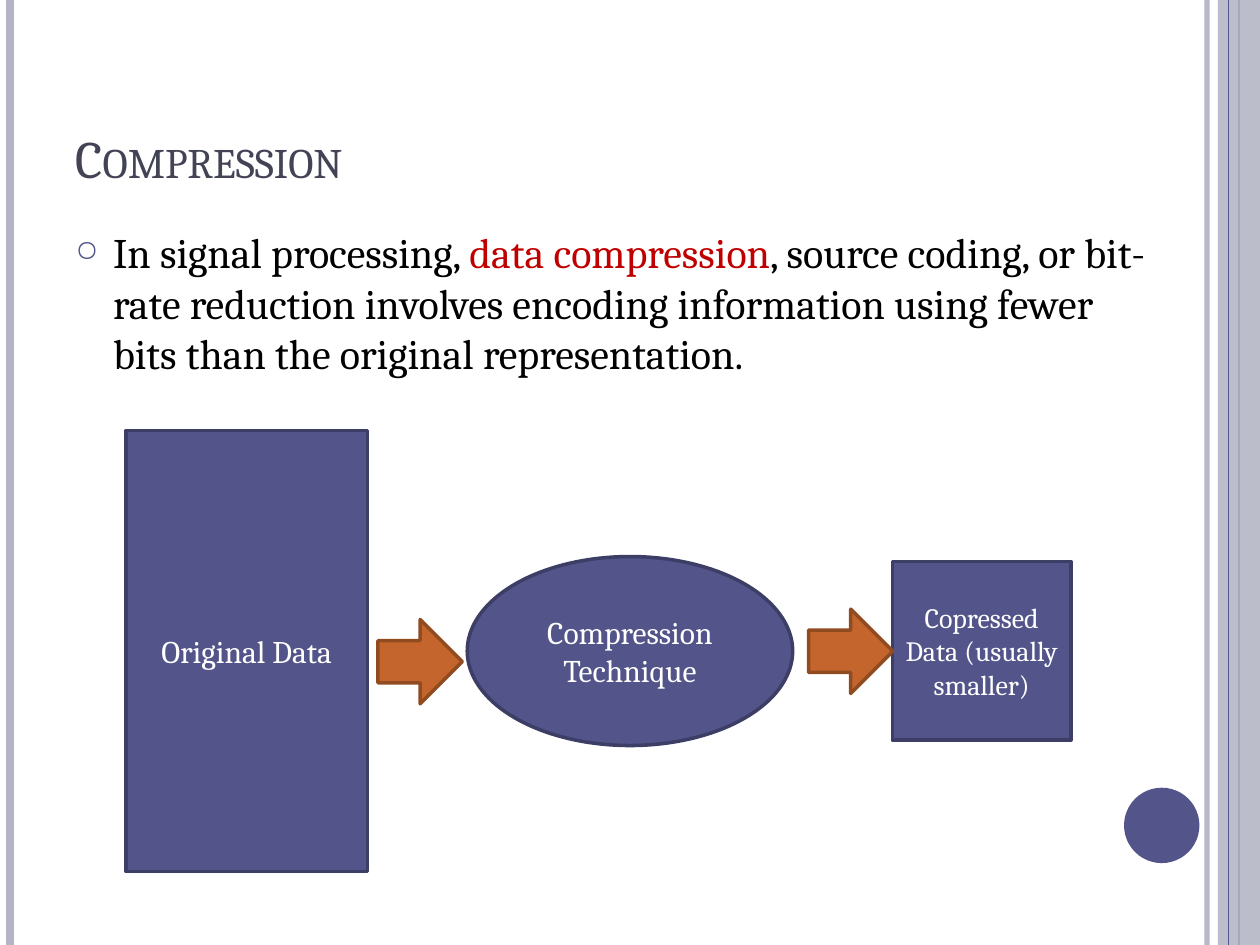
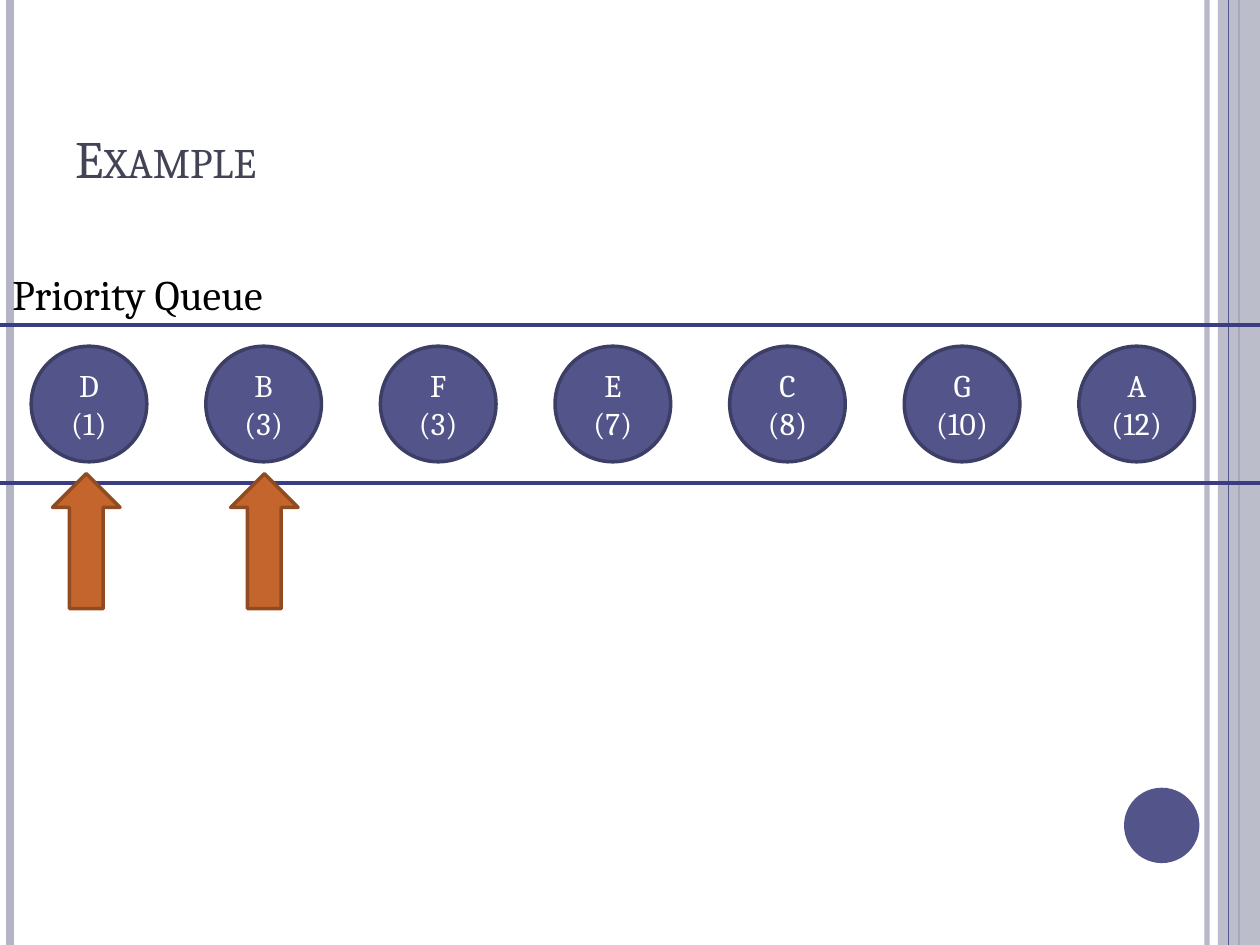
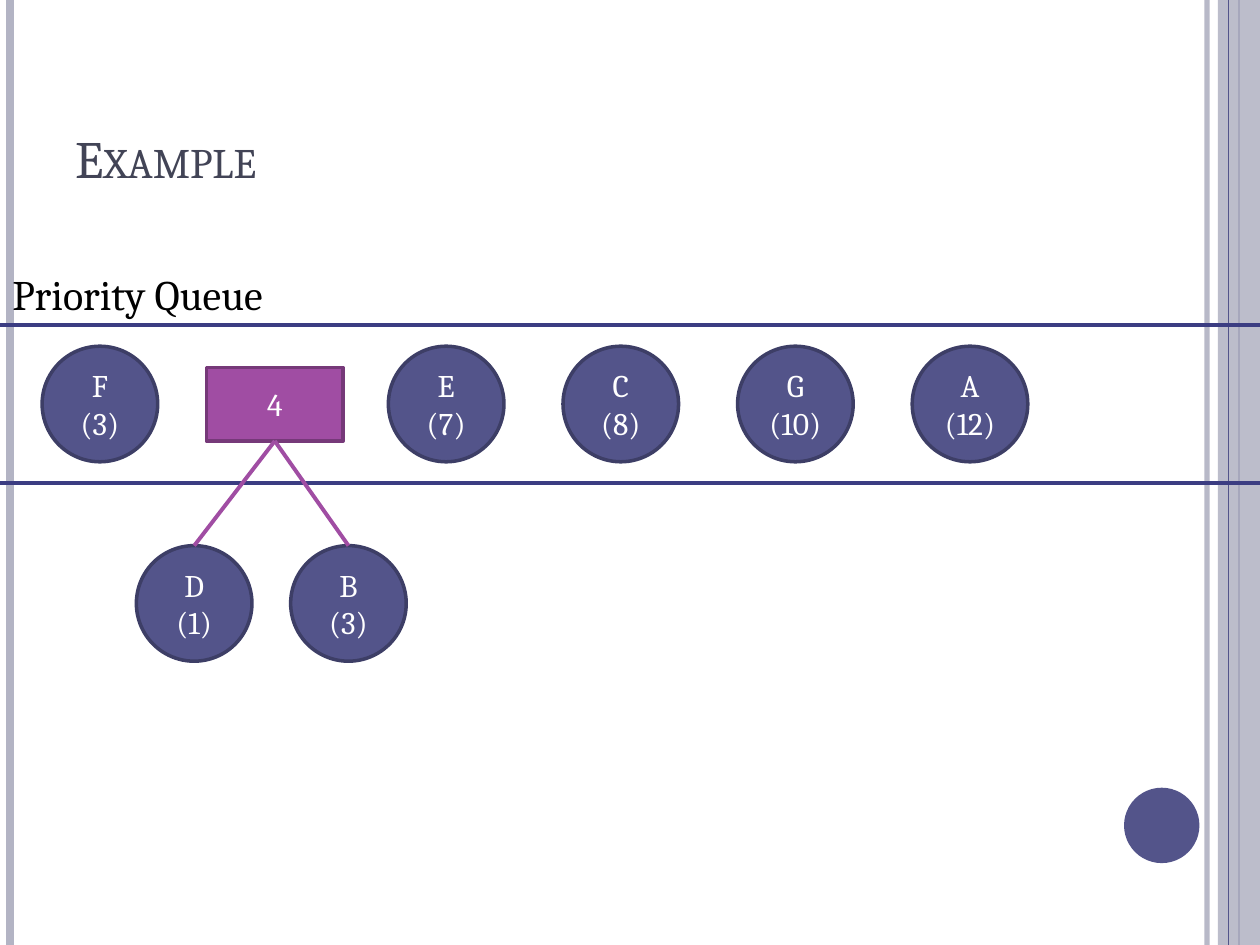
from lxml import etree
from pptx import Presentation
from pptx.dml.color import RGBColor
from pptx.enum.shapes import MSO_CONNECTOR, MSO_SHAPE as Preset
from pptx.enum.text import MSO_ANCHOR as Anchor, PP_ALIGN as Align
from pptx.oxml.ns import qn
from pptx.util import Cm, Pt

FONT = "Cambria"
COLORS = {
    "title": "424456", "body": "000000", "highlight": "C00000", "white": "FFFFFF",
    "band": "B3B4C4", "indigo": "53548A", "indigo_edge": "3D3E66", "rail": "3B3D82",
    "orange": "C4652D", "orange_edge": "914B21",
    "purple": "A04DA3", "purple_edge": "763979",
}
SLIDE_W, SLIDE_H = 25.4, 19.05
CIRCLE = 2.33
QUEUE_STEP = 3.52
QUEUE_TOP = 6.98
RAIL_YS = (6.56, 9.74)


def color(name):
    return RGBColor.from_string(COLORS[name])


def set_opacity(fill_parent, percent):
    """Make the solid colour inside a spPr or a:ln element see-through."""
    rgb = fill_parent.find(qn("a:solidFill")).find(qn("a:srgbClr"))
    etree.SubElement(rgb, qn("a:alpha"), val=str(percent * 1000))


def style_runs(paragraph, size, color_name):
    for run in paragraph.runs:
        run.font.name = FONT
        run.font.size = Pt(size)
        run.font.color.rgb = color(color_name)


def add_line(slide, start, end, color_name, width):
    line = slide.shapes.add_connector(
        MSO_CONNECTOR.STRAIGHT, *(Cm(value) for value in (*start, *end)))
    line.line.color.rgb = color(color_name)
    line.line.width = Pt(width)
    etree.SubElement(line._element.spPr, qn("a:effectLst"))
    return line


def add_figure(slide, preset, box, fill, edge=None, text="", size=18):
    figure = slide.shapes.add_shape(preset, *(Cm(value) for value in box))
    figure.shadow.inherit = False
    figure.fill.solid()
    figure.fill.fore_color.rgb = color(fill)
    if edge:
        figure.line.color.rgb = color(edge)
        figure.line.width = Pt(2)
    else:
        figure.line.fill.background()
    if text:
        frame = figure.text_frame
        frame.text = text
        frame.word_wrap = True
        frame.vertical_anchor = Anchor.MIDDLE
        for paragraph in frame.paragraphs:
            paragraph.alignment = Align.CENTER
            style_runs(paragraph, size, "white")
    return figure


def add_text(slide, box, text, size, color_name, wrap=True):
    frame = slide.shapes.add_textbox(*(Cm(value) for value in box)).text_frame
    frame.word_wrap = wrap
    frame.text = text
    style_runs(frame.paragraphs[0], size, color_name)
    return frame


def add_bullet(paragraph):
    paragraph.space_before = Pt(6)
    props = paragraph._p.get_or_add_pPr()
    props.set("marL", str(Cm(0.76)))
    props.set("indent", str(Cm(-0.76)))
    bullet_color = etree.SubElement(props, qn("a:buClr"))
    etree.SubElement(bullet_color, qn("a:srgbClr"), val=COLORS["indigo"])
    etree.SubElement(props, qn("a:buSzPct"), val="70000")
    etree.SubElement(props, qn("a:buChar"), char="○")


def add_titled_slide(prs, title):
    """Add a slide with the side bands, the corner disc and a title."""
    slide = prs.slides.add_slide(prs.slide_layouts[6])

    def add_stripe(x, color_name, width):
        return add_line(slide, (x, 0), (x, SLIDE_H), color_name, width)

    inner_stripe = add_stripe(24.33, "band", 3)
    set_opacity(inner_stripe.line._get_or_add_ln(), 93)
    add_stripe(0.21, "band", 4.5)
    add_stripe(24.98, "indigo", 1.5)
    band = add_figure(slide, Preset.RECTANGLE, (24.55, 0, 0.85, SLIDE_H), "band")
    set_opacity(band._element.spPr, 87)
    add_stripe(24.77, "indigo", 0.75)
    add_figure(slide, Preset.OVAL, (22.66, 15.88, 1.52, 1.52), "indigo")

    heading = add_text(slide, (1.27, 0.76, 20.75, 3.18), title, 30, "title")
    heading.vertical_anchor = Anchor.BOTTOM
    heading.paragraphs[0].runs[0].font._element.set("cap", "small")
    return slide


def add_symbol(slide, left, top, letter, frequency):
    return add_figure(slide, Preset.OVAL, (left, top, CIRCLE, CIRCLE),
                      "indigo", "indigo_edge", f"{letter}\n({frequency})")


def add_queue_row(slide, left, symbols):
    for place, (letter, frequency) in enumerate(symbols):
        add_symbol(slide, left + place * QUEUE_STEP, QUEUE_TOP, letter, frequency)


def add_queue_frame(slide):
    for y in RAIL_YS:
        add_line(slide, (0, y), (SLIDE_W, y), "rail", 2.25)
    add_text(slide, (0, 5.29, 6.4, 1.28), "Priority Queue", 24, "body", wrap=False)


def build_compression(prs):
    slide = add_titled_slide(prs, "Compression")
    definition = add_text(slide, (1.27, 4.45, 22.43, 13.54),
                          "In signal processing, ", 24, "body").paragraphs[0]
    for text in ("data compression",
                 ", source coding, or bit-rate reduction involves encoding information "
                 "using fewer bits than the original representation."):
        definition.add_run().text = text
    style_runs(definition, 24, "body")
    definition.runs[1].font.color.rgb = color("highlight")
    add_bullet(definition)

    stages = [
        (Preset.RECTANGLE, (2.54, 8.68, 4.87, 8.89), "Original Data", 18),
        (Preset.OVAL, (9.42, 11.22, 6.56, 3.81), "Compression Technique", 18),
        (Preset.RECTANGLE, (17.99, 11.32, 3.6, 3.6), "Copressed Data (usually smaller)", 16),
    ]
    for preset, box, text, size in stages:
        add_figure(slide, preset, box, "indigo", "indigo_edge", text, size)
    for left, top in ((7.62, 12.49), (16.3, 12.28)):
        add_figure(slide, Preset.RIGHT_ARROW, (left, top, 1.7, 1.7), "orange", "orange_edge")


def build_full_queue(prs):
    slide = add_titled_slide(prs, "Example")
    add_queue_row(slide, 0.63, [("D", 1), ("B", 3), ("F", 3), ("E", 7),
                                ("C", 8), ("G", 10), ("A", 12)])
    add_queue_frame(slide)
    for left in (1.06, 4.65):
        add_figure(slide, Preset.UP_ARROW, (left, 9.55, 1.36, 2.72), "orange", "orange_edge")


def build_first_merge(prs):
    slide = add_titled_slide(prs, "Example")
    add_queue_row(slide, 0.85, [("F", 3)])
    add_queue_row(slide, 7.83, [("E", 7), ("C", 8), ("G", 10), ("A", 12)])
    add_queue_frame(slide)

    parent = add_figure(slide, Preset.RECTANGLE, (4.16, 7.41, 2.76, 1.48),
                        "purple", "purple_edge", "4")
    for left, letter, frequency in ((2.75, "D", 1), (5.86, "B", 3)):
        child = add_symbol(slide, left, 11, letter, frequency)
        branch = add_line(slide, (5.54, 8.89), (left + CIRCLE / 2, 11), "purple", 2.25)
        branch.begin_connect(parent, 2)
        branch.end_connect(child, 0)


def main():
    prs = Presentation()
    prs.slide_width, prs.slide_height = Cm(SLIDE_W), Cm(SLIDE_H)
    build_compression(prs)
    build_full_queue(prs)
    build_first_merge(prs)
    prs.save("out.pptx")


if __name__ == "__main__":
    main()
